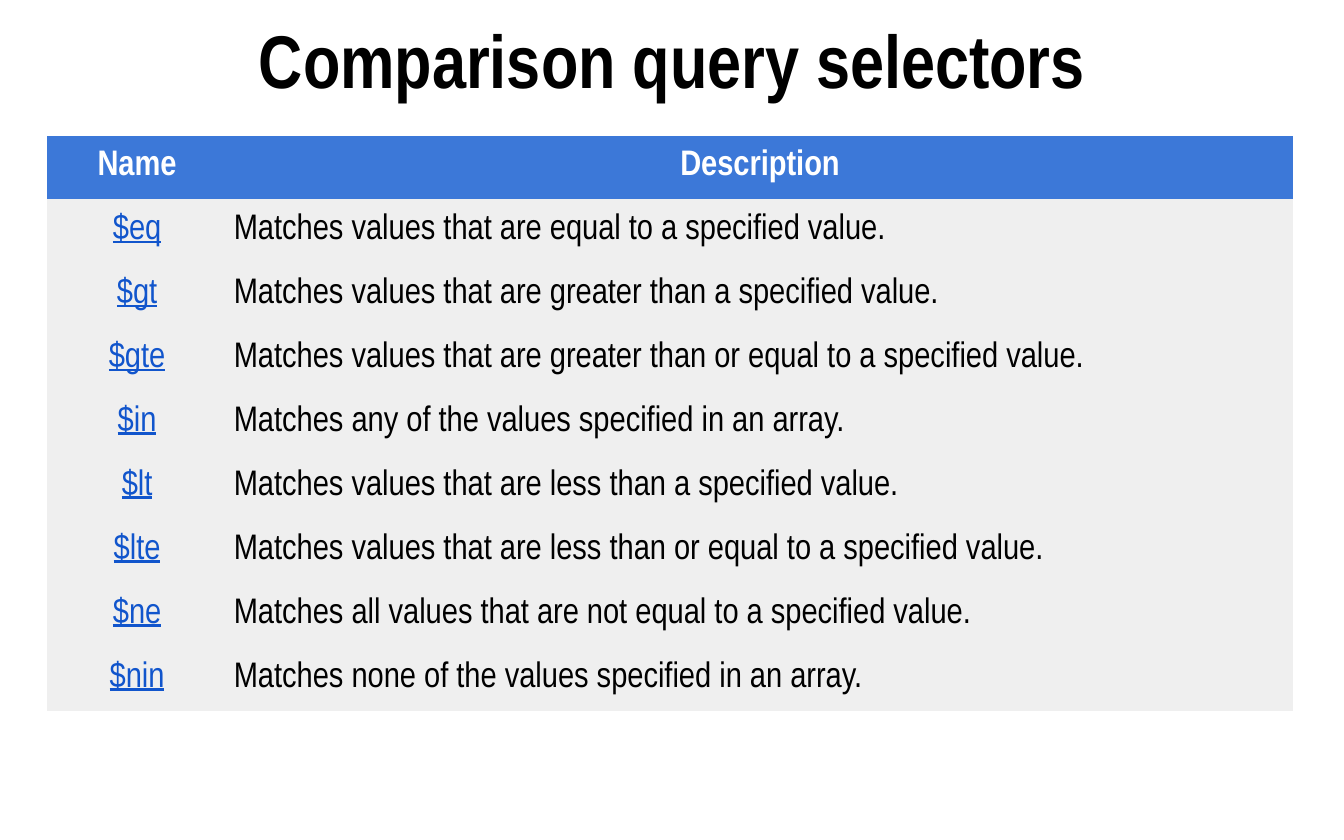
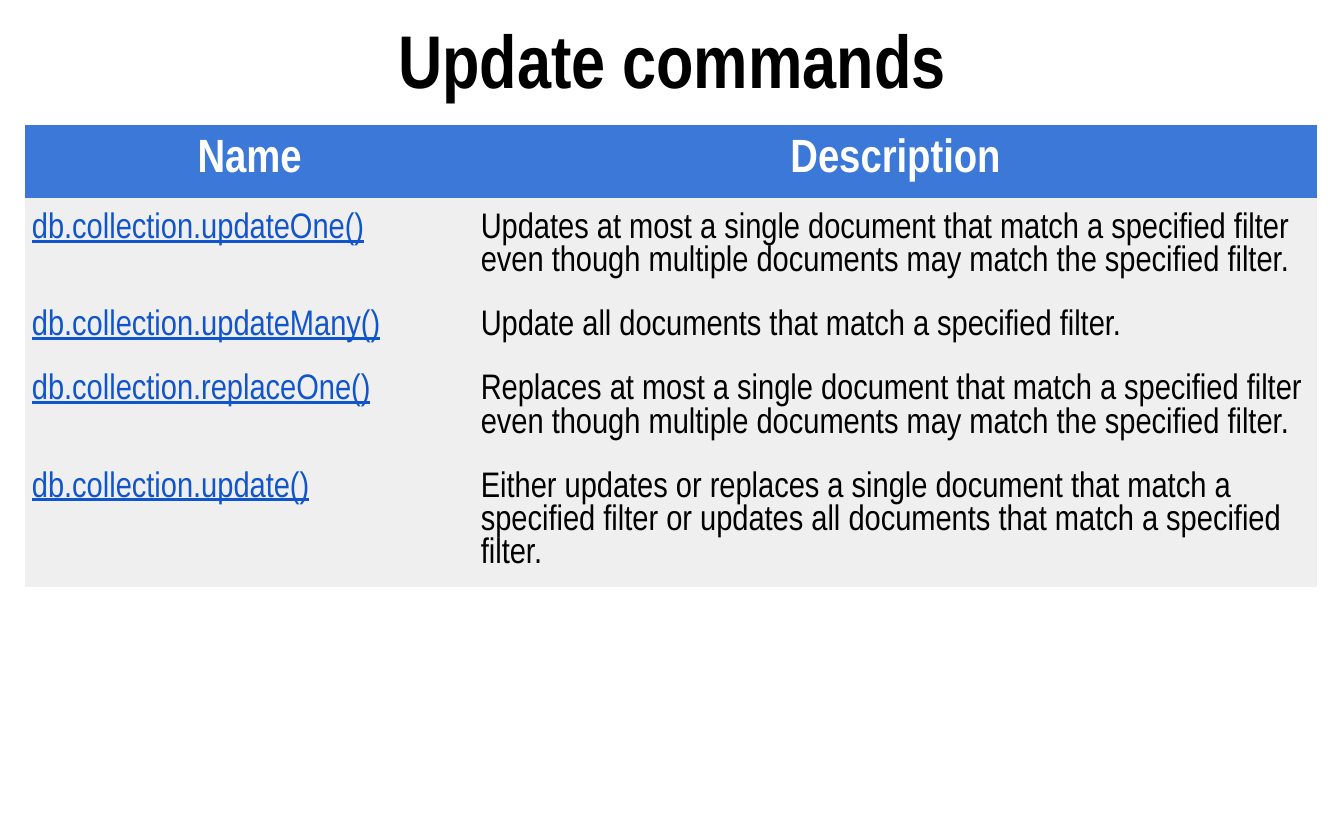
"""Build two slides that list query selectors and update commands in tables."""

from pptx import Presentation
from pptx.dml.color import RGBColor
from pptx.enum.text import MSO_ANCHOR, MSO_AUTO_SIZE, PP_ALIGN
from pptx.oxml.ns import qn
from pptx.util import Pt

FONT = "Arial Narrow"
BLACK = RGBColor(0x00, 0x00, 0x00)
WHITE = RGBColor(0xFF, 0xFF, 0xFF)
HEADER_BLUE = RGBColor(0x3C, 0x78, 0xD8)
BODY_GRAY = RGBColor(0xEF, 0xEF, 0xEF)
LINK_BLUE = RGBColor(0x11, 0x55, 0xCC)
PLAIN_TABLE_STYLE = "{2D5ABB26-0587-4C30-8999-92F81FD0307C}"

SLIDE_WIDTH, SLIDE_HEIGHT = 720, 450
TITLE_HEIGHT = 62.6
TITLE_INSET = 7.2
BODY_SIZE = 19
HEADINGS = ("Name", "Description")

SLIDES = [
    {
        "title": "Comparison query selectors",
        "position": (25.2, 72.9),
        "column_widths": (96.5, 571),
        "header_height": 26.6,
        "row_height": 27.4,
        "header_size": 19,
        "name_alignment": PP_ALIGN.CENTER,
        "rows": [
            ("$eq", "Matches values that are equal to a specified value."),
            ("$gt", "Matches values that are greater than a specified value."),
            ("$gte", "Matches values that are greater than or equal to a specified value."),
            ("$in", "Matches any of the values specified in an array."),
            ("$lt", "Matches values that are less than a specified value."),
            ("$lte", "Matches values that are less than or equal to a specified value."),
            ("$ne", "Matches all values that are not equal to a specified value."),
            ("$nin", "Matches none of the values specified in an array."),
        ],
    },
    {
        "title": "Update commands",
        "position": (13.5, 67),
        "column_widths": (240.5, 451.5),
        "header_height": 18,
        "row_height": 18.7,
        "header_size": 25,
        "name_alignment": PP_ALIGN.LEFT,
        "rows": [
            ("db.collection.updateOne()",
             "Updates at most a single document that match a specified filter "
             "even though multiple documents may match the specified filter."),
            ("db.collection.updateMany()",
             "Update all documents that match a specified filter."),
            ("db.collection.replaceOne()",
             "Replaces at most a single document that match a specified filter "
             "even though multiple documents may match the specified filter."),
            ("db.collection.update()",
             "Either updates or replaces a single document that match a "
             "specified filter or updates all documents that match a "
             "specified filter."),
        ],
    },
]


def write_text(frame, text, size=BODY_SIZE, color=BLACK, bold=False,
               underline=False, alignment=PP_ALIGN.LEFT):
    paragraph = frame.paragraphs[0]
    paragraph.alignment = alignment
    run = paragraph.add_run()
    run.text = text
    font = run.font
    font.name, font.size, font.bold, font.underline = FONT, Pt(size), bold, underline
    font.color.rgb = color


def add_title(slide, text):
    title = slide.shapes.title
    title.left, title.top = Pt(0), Pt(0)
    title.width, title.height = Pt(SLIDE_WIDTH), Pt(TITLE_HEIGHT)
    frame = title.text_frame
    frame.word_wrap = True
    frame.auto_size = MSO_AUTO_SIZE.NONE
    frame.vertical_anchor = MSO_ANCHOR.BOTTOM
    frame.margin_left = frame.margin_right = Pt(TITLE_INSET)
    frame.margin_top = frame.margin_bottom = Pt(TITLE_INSET)
    write_text(frame, text, size=40, bold=True, alignment=PP_ALIGN.CENTER)


def fill_cell(cell, text, fill, top_margin, **text_format):
    cell.fill.solid()
    cell.fill.fore_color.rgb = fill
    cell.vertical_anchor = MSO_ANCHOR.TOP
    cell.margin_left = cell.margin_right = Pt(3.6)
    cell.margin_top, cell.margin_bottom = Pt(top_margin), Pt(8.6)
    write_text(cell.text_frame, text, **text_format)


def add_command_table(slide, content):
    rows, widths = content["rows"], content["column_widths"]
    heights = [content["header_height"]] + [content["row_height"]] * len(rows)
    left, top = content["position"]
    table = slide.shapes.add_table(
        len(heights), len(widths),
        Pt(left), Pt(top), Pt(sum(widths)), Pt(sum(heights))).table
    table.first_row = table.horz_banding = False
    table._tbl.tblPr.find(qn("a:tableStyleId")).text = PLAIN_TABLE_STYLE
    for column, width in zip(table.columns, widths):
        column.width = Pt(width)
    for row, height in zip(table.rows, heights):
        row.height = Pt(height)
    for column_index, heading in enumerate(HEADINGS):
        fill_cell(table.cell(0, column_index), heading, HEADER_BLUE, 7.2,
                  size=content["header_size"], color=WHITE, bold=True,
                  alignment=PP_ALIGN.CENTER)
    for row_index, (name, description) in enumerate(rows, start=1):
        fill_cell(table.cell(row_index, 0), name, BODY_GRAY, 7.9,
                  color=LINK_BLUE, underline=True,
                  alignment=content["name_alignment"])
        fill_cell(table.cell(row_index, 1), description, BODY_GRAY, 7.9)


def main():
    presentation = Presentation()
    presentation.slide_width = Pt(SLIDE_WIDTH)
    presentation.slide_height = Pt(SLIDE_HEIGHT)
    title_only = presentation.slide_layouts.get_by_name("Title Only")
    for content in SLIDES:
        slide = presentation.slides.add_slide(title_only)
        add_title(slide, content["title"])
        add_command_table(slide, content)
    presentation.save("out.pptx")


if __name__ == "__main__":
    main()
